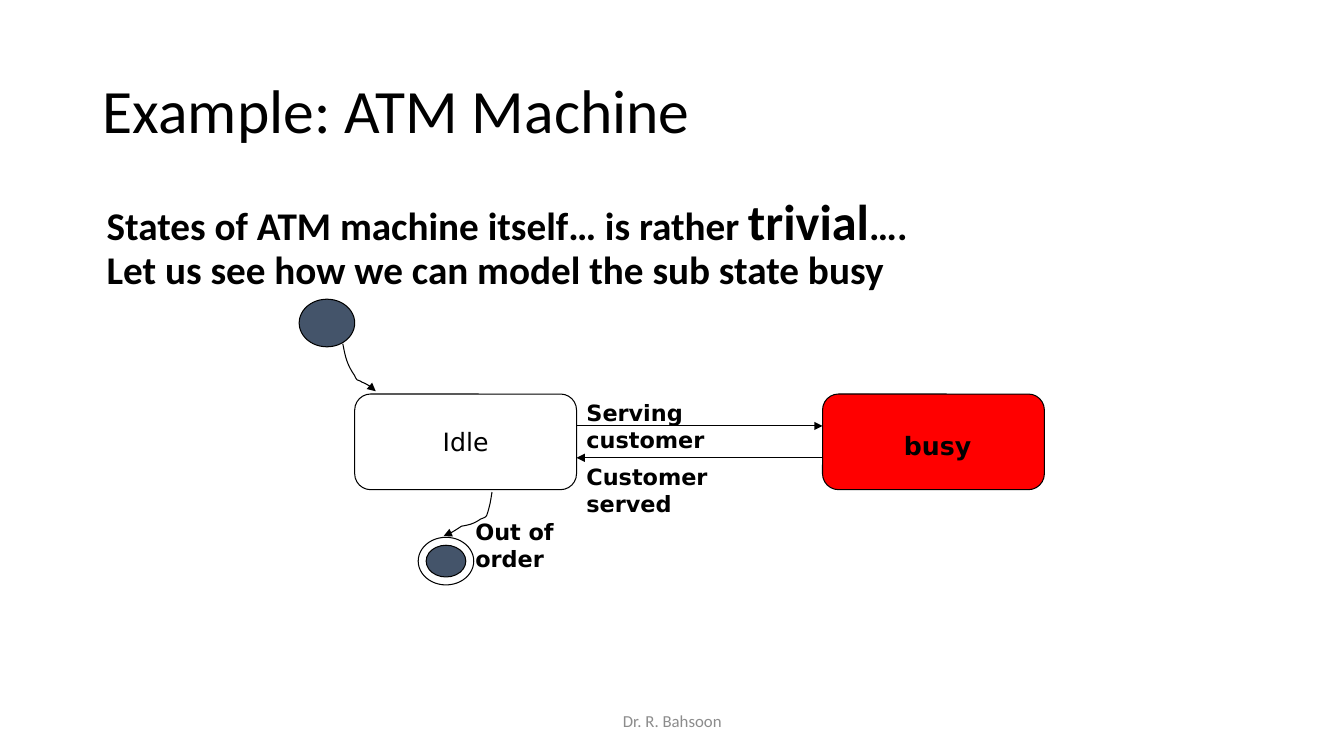
"""Build the ATM state diagram slide."""
from lxml import etree
from pptx import Presentation
from pptx.dml.color import RGBColor
from pptx.enum.shapes import MSO_CONNECTOR, MSO_SHAPE
from pptx.enum.text import MSO_ANCHOR, PP_ALIGN
from pptx.oxml.ns import qn
from pptx.util import Cm, Pt

ROUNDED, OVAL = MSO_SHAPE.ROUNDED_RECTANGLE, MSO_SHAPE.OVAL
STRAIGHT = MSO_CONNECTOR.STRAIGHT
TOP, MIDDLE = MSO_ANCHOR.TOP, MSO_ANCHOR.MIDDLE
LEFT, CENTER = PP_ALIGN.LEFT, PP_ALIGN.CENTER
COLORS = {"ink": "000000", "busy": "FF0000", "dot": "44546A", "footer": "8C8C8C"}
HEADING_FONT, DIAGRAM_FONT = "Calibri", "DejaVu Sans"

TITLE = [[("Example: ATM Machine", 44)]]
BODY = [
    [("States of ATM machine itself… is rather ", 28), ("trivial", 36), ("….", 28)],
    [("Let us see how we can model the sub state busy", 28)],
]
FOOTER = [[("Dr. R. Bahsoon", 12)]]
LABELS = [
    ("busy", 18, (22.53, 10.72, 2.5, 1.02)),
    ("Serving customer", 16, (14.53, 9.93, 4.2, 1.6)),
    ("Customer served", 16, (14.53, 11.54, 4.2, 1.6)),
    ("Out of order", 16, (11.73, 12.93, 3.1, 1.6)),
]

STATE_W, STATE_H, STATE_TOP = 5.59, 2.41, 9.93
IDLE_LEFT, BUSY_LEFT = 8.94, 20.73
DOT_W, DOT_H, RING_GAP = 1.4, 1.2, 0.2
START_LEFT, START_TOP = 7.54, 7.54
END_LEFT, END_TOP = 10.54, 13.54
CURVE_STEPS = 8
START_CURVE = [
    (8.64, 8.66), (8.71, 9.02), (8.74, 9.17), (8.94, 9.47),
    (8.97, 9.53), (8.99, 9.58), (9.02, 9.58),
    (9.07, 9.6), (9.09, 9.6), (9.12, 9.63),
    (9.19, 9.65), (9.27, 9.7), (9.35, 9.75),
    (9.45, 9.88), (9.4, 9.86), (9.47, 9.86),
]
END_CURVE = [
    (12.4, 12.4), (12.37, 12.6), (12.34, 12.78), (12.27, 12.98),
    (12.24, 13.06), (12.12, 13.06), (12.07, 13.11),
    (11.91, 13.21), (11.81, 13.23), (11.63, 13.26),
    (11.56, 13.31), (11.25, 13.51), (11.18, 13.51),
]


def color(name):
    return RGBColor.from_string(COLORS[name])


def write(shape, paragraphs, font, ink="ink", bold=False, align=LEFT, anchor=TOP, spacing=1.0):
    frame = shape.text_frame
    frame.word_wrap = True
    frame.vertical_anchor = anchor
    frame.text = "\n".join("" for _ in paragraphs)
    for para, spans in zip(frame.paragraphs, paragraphs):
        para.alignment = align
        para.line_spacing = spacing
        for text, size in spans:
            span = para.add_run()
            span.text = text
            span.font.name = font
            span.font.size = Pt(size)
            span.font.bold = bold
            span.font.color.rgb = color(ink)


def add_text(page, place, paragraphs, font, **style):
    box = page.shapes.add_textbox(*map(Cm, place))
    write(box, paragraphs, font, **style)


def outline(shape):
    shape.line.color.rgb = color("ink")
    shape.line.width = Pt(0.75)


def add_arrowhead(shape):
    line = shape.line._get_or_add_ln()
    etree.SubElement(line, qn("a:tailEnd"), type="triangle")


def add_node(page, kind, place, fill=None):
    node = page.shapes.add_shape(kind, *map(Cm, place))
    node.shadow.inherit = False
    outline(node)
    if fill:
        node.fill.solid()
        node.fill.fore_color.rgb = color(fill)
    else:
        node.fill.background()
    return node


def add_arrow(page, start_x, end_x, y):
    arrow = page.shapes.add_connector(STRAIGHT, Cm(start_x), Cm(y), Cm(end_x), Cm(y))
    outline(arrow)
    add_arrowhead(arrow)
    etree.SubElement(arrow._element.spPr, qn("a:effectLst"))


def bezier(points, t):
    weights = ((1 - t) ** 3, 3 * t * (1 - t) ** 2, 3 * t * t * (1 - t), t ** 3)
    return tuple(Cm(sum(w * p[axis] for w, p in zip(weights, points))) for axis in (0, 1))


def add_curve(page, points):
    vertices = [
        bezier(points[first:first + 4], step / CURVE_STEPS)
        for first in range(0, len(points) - 1, 3)
        for step in range(1, CURVE_STEPS + 1)
    ]
    builder = page.shapes.build_freeform(*map(Cm, points[0]))
    builder.add_line_segments(vertices, close=False)
    curve = builder.convert_to_shape()
    curve.shadow.inherit = False
    curve.fill.background()
    outline(curve)
    add_arrowhead(curve)


deck = Presentation()
deck.slide_width, deck.slide_height = Cm(33.87), Cm(19.05)
page = deck.slides.add_slide(deck.slide_layouts[6])

add_text(page, (2.34, 1.02, 29.21, 3.68), TITLE, HEADING_FONT, anchor=MIDDLE, spacing=0.9)
add_text(page, (2.44, 4.83, 29.21, 12.09), BODY, HEADING_FONT, bold=True, spacing=0.9)
add_text(page, (11.23, 17.65, 11.43, 1.02), FOOTER, HEADING_FONT, ink="footer",
         align=CENTER, anchor=MIDDLE)

idle = add_node(page, ROUNDED, (IDLE_LEFT, STATE_TOP, STATE_W, STATE_H))
write(idle, [[("Idle", 18)]], DIAGRAM_FONT, align=CENTER, anchor=MIDDLE)
add_node(page, ROUNDED, (BUSY_LEFT, STATE_TOP, STATE_W, STATE_H), "busy")

idle_right = IDLE_LEFT + STATE_W
add_arrow(page, idle_right, BUSY_LEFT, STATE_TOP + STATE_H / 3)
add_arrow(page, BUSY_LEFT, idle_right, STATE_TOP + STATE_H * 2 / 3)

add_node(page, OVAL, (START_LEFT, START_TOP, DOT_W, DOT_H), "dot")
add_node(page, OVAL, (END_LEFT + RING_GAP, END_TOP + RING_GAP,
                      DOT_W - 2 * RING_GAP, DOT_H - 2 * RING_GAP), "dot")
add_node(page, OVAL, (END_LEFT, END_TOP, DOT_W, DOT_H))
add_curve(page, START_CURVE)
add_curve(page, END_CURVE)

for text, size, place in LABELS:
    add_text(page, place, [[(text, size)]], DIAGRAM_FONT, bold=True)

deck.save("out.pptx")
